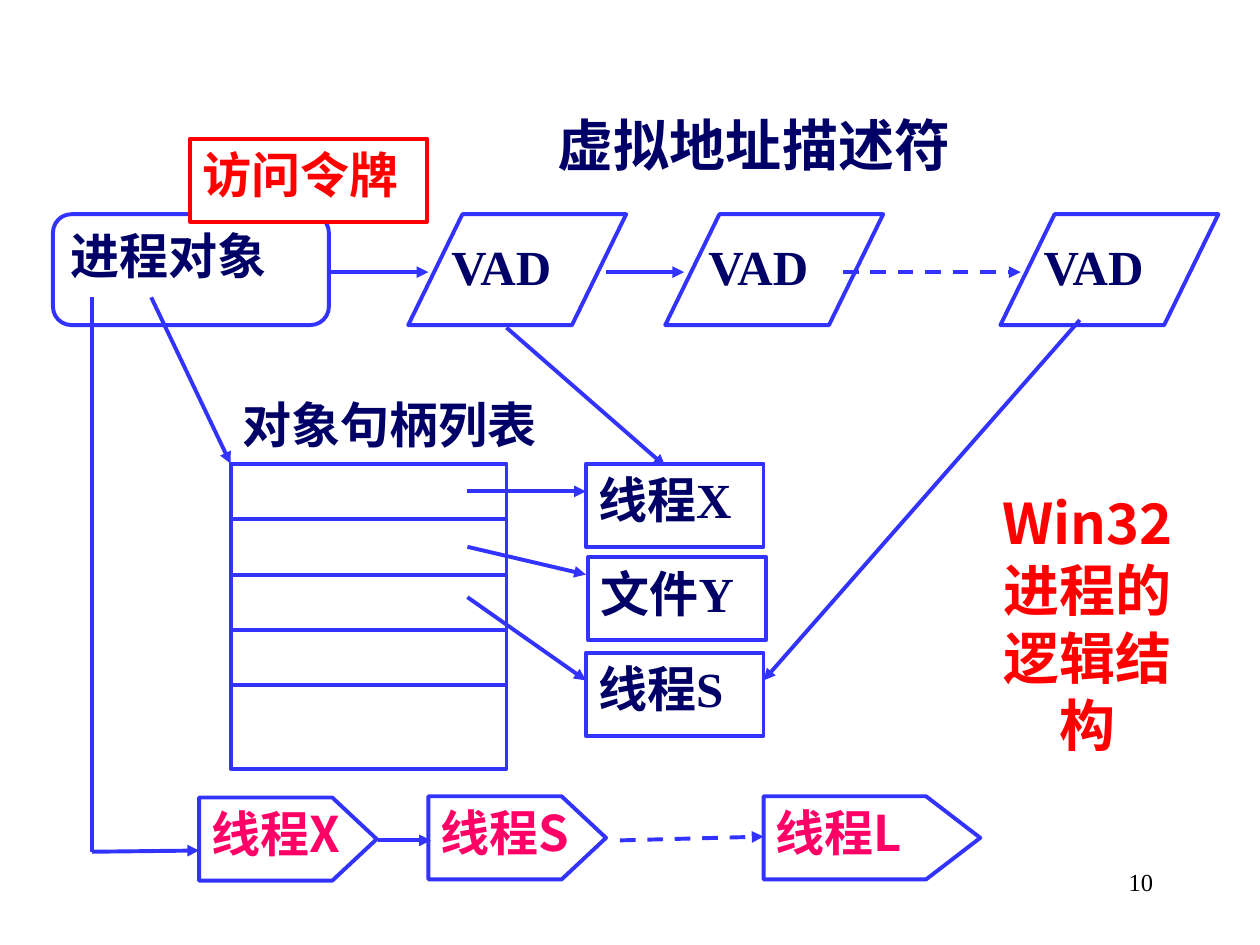
from lxml import etree
from pptx import Presentation
from pptx.dml.color import RGBColor
from pptx.enum.dml import MSO_LINE
from pptx.enum.shapes import MSO_CONNECTOR, MSO_SHAPE
from pptx.enum.text import MSO_ANCHOR, PP_ALIGN
from pptx.oxml.ns import qn
from pptx.util import Inches, Pt

RECT = MSO_SHAPE.RECTANGLE
ROUNDED = MSO_SHAPE.FLOWCHART_ALTERNATE_PROCESS
SLANTED = MSO_SHAPE.PARALLELOGRAM
STRAIGHT = MSO_CONNECTOR.STRAIGHT
DASH = MSO_LINE.DASH
TOP = MSO_ANCHOR.TOP
JUSTIFY, CENTER, RIGHT = PP_ALIGN.JUSTIFY, PP_ALIGN.CENTER, PP_ALIGN.RIGHT

SERIF = "Times New Roman"
SANS = "Noto Sans CJK SC"
COLORS = {
    "paper": "FFFFFF",
    "outline": "3333FF",
    "ink": "000066",
    "red": "FF0000",
    "pink": "FF0066",
    "black": "000000",
}


def rgb(name):
    return RGBColor.from_string(COLORS[name])


def write_text(sp, text, size=28, font=SERIF, color="ink", bold=True,
               align=JUSTIFY, inset=(0.1, 0.05)):
    tf = sp.text_frame
    tf.word_wrap = True
    tf.vertical_anchor = TOP
    tf.margin_left = tf.margin_right = Inches(inset[0])
    tf.margin_top = tf.margin_bottom = Inches(inset[1])
    p = tf.paragraphs[0]
    p.alignment = align
    r = p.add_run()
    r.text = text
    r.font.size = Pt(size)
    r.font.name = font
    r.font.bold = bold
    r.font.color.rgb = rgb(color)
    etree.SubElement(r.font._element, qn("a:ea"), typeface=SANS)


class Diagram:
    line_width = Pt(2.25)

    def __init__(self, slide):
        self.s = slide

    def style(self, sp, line):
        sp.shadow.inherit = False
        sp.fill.solid()
        sp.fill.fore_color.rgb = rgb("paper")
        if line:
            sp.line.color.rgb = rgb(line)
            sp.line.width = self.line_width
        else:
            sp.line.fill.background()

    def box(self, x, y, w, h, text="", kind=RECT, line="outline", **fmt):
        sp = self.s.shapes.add_shape(kind, Inches(x), Inches(y), Inches(w), Inches(h))
        self.style(sp, line)
        if text:
            write_text(sp, text, **fmt)
        return sp

    def vad(self, x):
        sp = self.box(x, 1.7, 1.73, 0.88, "VAD", SLANTED, inset=(0.02, 0.01))
        sp.adjustments[0] = 0.489

    def thread_tag(self, x, y, w, text):
        h, shoulder = 0.66, x + w * 0.75
        points = [(shoulder, y), (x + w, y + h / 2), (shoulder, y + h), (x, y + h)]
        builder = self.s.shapes.build_freeform(Inches(x), Inches(y))
        builder.add_line_segments([(Inches(px), Inches(py)) for px, py in points])
        sp = builder.convert_to_shape()
        self.style(sp, "outline")
        write_text(sp, text, font=SANS, color="pink")

    def line(self, x1, y1, x2, y2, arrow=False, dashed=False):
        cn = self.s.shapes.add_connector(
            STRAIGHT, Inches(x1), Inches(y1), Inches(x2), Inches(y2))
        cn.line.color.rgb = rgb("outline")
        cn.line.width = self.line_width
        if dashed:
            cn.line.dash_style = DASH
        if arrow:
            etree.SubElement(cn.line._get_or_add_ln(), qn("a:tailEnd"), type="triangle")
        etree.SubElement(cn._element.spPr, qn("a:effectLst"))

    def arrow(self, x1, y1, x2, y2, dashed=False):
        self.line(x1, y1, x2, y2, arrow=True, dashed=dashed)

    def label(self, x, y, w, h, text, **fmt):
        sp = self.s.shapes.add_textbox(Inches(x), Inches(y), Inches(w), Inches(h))
        write_text(sp, text, **fmt)


def main():
    prs = Presentation()
    prs.slide_width, prs.slide_height = Inches(10), Inches(7.5)
    d = Diagram(prs.slides.add_slide(prs.slide_layouts[6]))

    d.label(7.17, 6.83, 2.08, 0.5, "10", size=14, color="black", bold=False, align=RIGHT)
    d.box(7.67, 3.83, 1.92, 2.17, "Win32进程的逻辑结构", line=None,
          size=32, font=SANS, color="red", align=CENTER)
    d.box(4.33, 0.83, 4.45, 0.58, "虚拟地址描述符", line=None, size=32)
    d.box(0.42, 1.7, 2.19, 0.88, "进程对象", ROUNDED)
    d.box(1.83, 3.08, 2.54, 0.59, "对象句柄列表", line=None)
    d.box(1.51, 1.1, 1.88, 0.66, "访问令牌", line="red", color="red")

    for x in (3.24, 5.28, 7.94):
        d.vad(x)
    for x, y, text in ((4.65, 3.68, "线程X"), (4.67, 4.42, "文件Y"), (4.65, 5.18, "线程S")):
        d.box(x, y, 1.41, 0.66, text)

    table_x, table_y, table_w, row_h = 1.83, 3.68, 2.19, 0.44
    d.box(table_x, table_y, table_w, 2.42)
    for row in range(1, 5):
        y = table_y + row * row_h
        d.line(table_x, y, table_x + table_w, y)

    for x, y, w, text in ((1.58, 6.33, 1.41, "线程X"), (3.4, 6.32, 1.41, "线程S"),
                          (6.06, 6.32, 1.72, "线程L")):
        d.thread_tag(x, y, w, text)

    d.line(0.73, 2.36, 0.73, 6.76)
    for ends in (
        (0.73, 6.76, 1.58, 6.75),
        (1.2, 2.36, 1.83, 3.68),
        (3, 6.67, 3.42, 6.67),
        (3.71, 3.9, 4.65, 3.9),
        (3.71, 4.34, 4.65, 4.56),
        (3.71, 4.74, 4.65, 5.4),
        (2.61, 2.16, 3.4, 2.16),
        (4.81, 2.16, 5.43, 2.16),
        (4.02, 2.6, 5.28, 3.7),
        (8.57, 2.54, 6.06, 5.4),
    ):
        d.arrow(*ends)
    d.arrow(4.92, 6.67, 6.06, 6.64, dashed=True)
    d.arrow(6.69, 2.16, 8.1, 2.16, dashed=True)

    prs.save("out.pptx")


if __name__ == "__main__":
    main()
